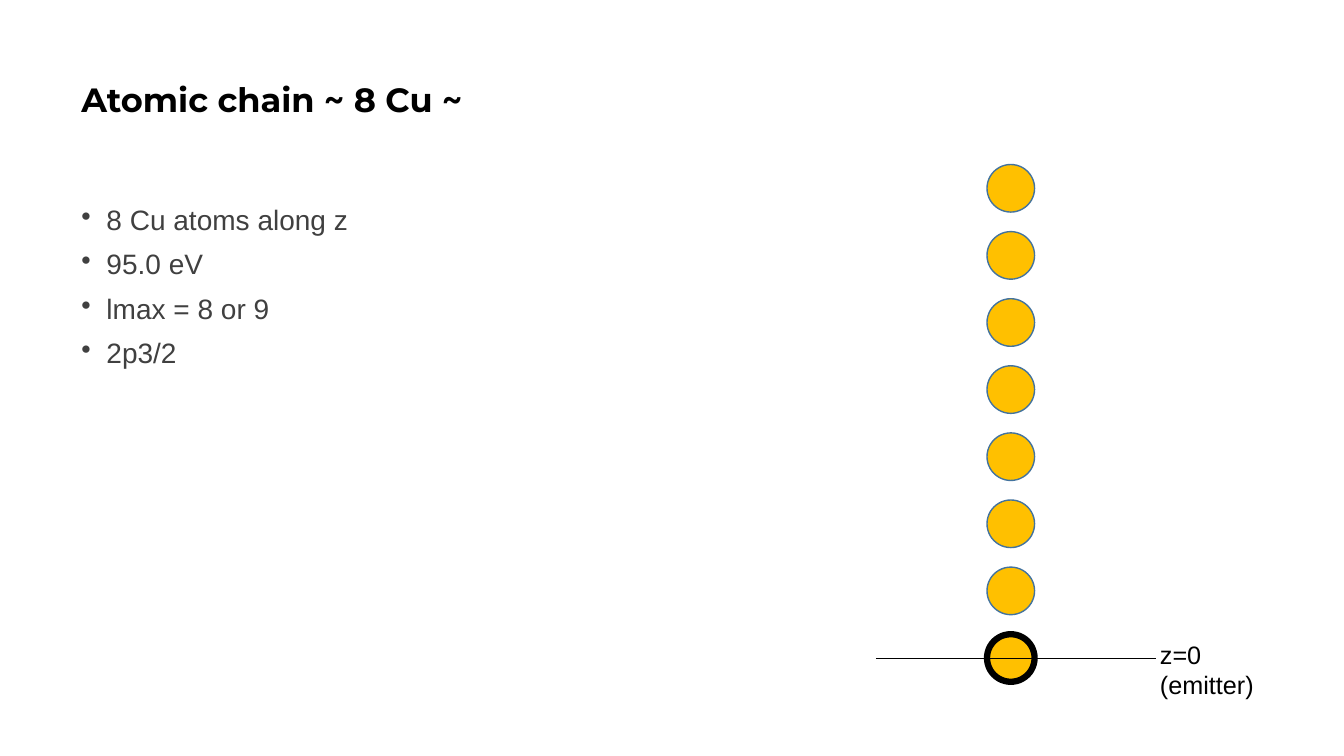
from dataclasses import dataclass

from lxml import etree
from pptx import Presentation
from pptx.dml.color import RGBColor
from pptx.enum.shapes import MSO_CONNECTOR, MSO_SHAPE
from pptx.enum.text import MSO_ANCHOR
from pptx.oxml.ns import qn
from pptx.slide import Slide
from pptx.util import Pt

ELLIPSE = MSO_SHAPE.OVAL
STRAIGHT = MSO_CONNECTOR.STRAIGHT
TOP, MIDDLE = MSO_ANCHOR.TOP, MSO_ANCHOR.MIDDLE

BLACK = RGBColor(0x00, 0x00, 0x00)
GREY = RGBColor(0x40, 0x40, 0x40)
COPPER = RGBColor(0xFF, 0xC0, 0x00)
ATOM_EDGE = RGBColor(0x43, 0x73, 0x9E)

ATOM_COUNT = 8
ATOM_LEFT, EMITTER_TOP = 705, 453
ATOM_SIZE, ATOM_PITCH = 34, 47.93
BULLET_INDENT = Pt(18)


@dataclass
class TextBlock:
    lines: list[str]
    left: float
    top: float
    width: float
    height: float
    font: dict
    color: RGBColor
    anchor: MSO_ANCHOR = TOP
    line_spacing: float = 1.0
    space_before: float = 0
    bulleted: bool = False


@dataclass
class Atom:
    top: float
    edge_color: RGBColor
    edge_width: float


def add_text(slide: Slide, block: TextBlock) -> None:
    box = slide.shapes.add_textbox(
        Pt(block.left), Pt(block.top), Pt(block.width), Pt(block.height))
    frame = box.text_frame
    frame.word_wrap = True
    frame.vertical_anchor = block.anchor
    for index, line in enumerate(block.lines):
        paragraph = frame.add_paragraph() if index else frame.paragraphs[0]
        paragraph.text = line
        paragraph.line_spacing = block.line_spacing
        paragraph.space_before = Pt(block.space_before if index else 0)
        if block.bulleted:
            properties = paragraph._p.get_or_add_pPr()
            properties.set("marL", str(BULLET_INDENT))
            properties.set("indent", str(-BULLET_INDENT))
            etree.SubElement(properties, qn("a:buChar")).set("char", "•")
        for name, value in block.font.items():
            setattr(paragraph.runs[0].font, name, value)
        paragraph.runs[0].font.color.rgb = block.color


def add_atom(slide: Slide, atom: Atom) -> None:
    circle = slide.shapes.add_shape(
        ELLIPSE, Pt(ATOM_LEFT), Pt(atom.top), Pt(ATOM_SIZE), Pt(ATOM_SIZE))
    circle.shadow.inherit = False
    circle.fill.solid()
    circle.fill.fore_color.rgb = COPPER
    circle.line.color.rgb = atom.edge_color
    circle.line.width = Pt(atom.edge_width)


def add_z_axis_origin(slide: Slide, start: float, end: float, y: float) -> None:
    origin = slide.shapes.add_connector(STRAIGHT, Pt(start), Pt(y), Pt(end), Pt(y))
    origin.line.color.rgb = BLACK
    origin.line.width = Pt(0.5)
    etree.SubElement(origin._element.spPr, qn("a:effectLst"))


def main() -> None:
    presentation = Presentation()
    presentation.slide_width, presentation.slide_height = Pt(960), Pt(540)
    slide = presentation.slides.add_slide(presentation.slide_layouts[6])

    # Title and calculation parameters
    add_text(slide, TextBlock(
        ["Atomic chain ~ 8 Cu ~"], 51, 20, 828, 104.4,
        {"name": "Montserrat", "size": Pt(24), "bold": True}, BLACK,
        anchor=MIDDLE, line_spacing=0.9))
    add_text(slide, TextBlock(
        ["8 Cu atoms along z", "95.0 eV", "lmax = 8 or 9", "2p3/2"],
        51, 144, 828, 342.7, {"name": "Arial", "size": Pt(20)}, GREY,
        line_spacing=0.9, space_before=10, bulleted=True))

    # Chain of atoms, upwards from the emitter
    for step in range(ATOM_COUNT):
        top = EMITTER_TOP - step * ATOM_PITCH
        add_atom(slide, Atom(top, ATOM_EDGE, 1) if step else Atom(top, BLACK, 4.5))

    # Level z=0 with its label
    add_z_axis_origin(slide, 625.7, 825.8, EMITTER_TOP + ATOM_SIZE / 2)
    add_text(slide, TextBlock(
        ["z=0 (emitter)"], 821.5, EMITTER_TOP, 114, 29,
        {"name": "Arial", "size": Pt(18)}, BLACK))

    presentation.save("out.pptx")


if __name__ == "__main__":
    main()
